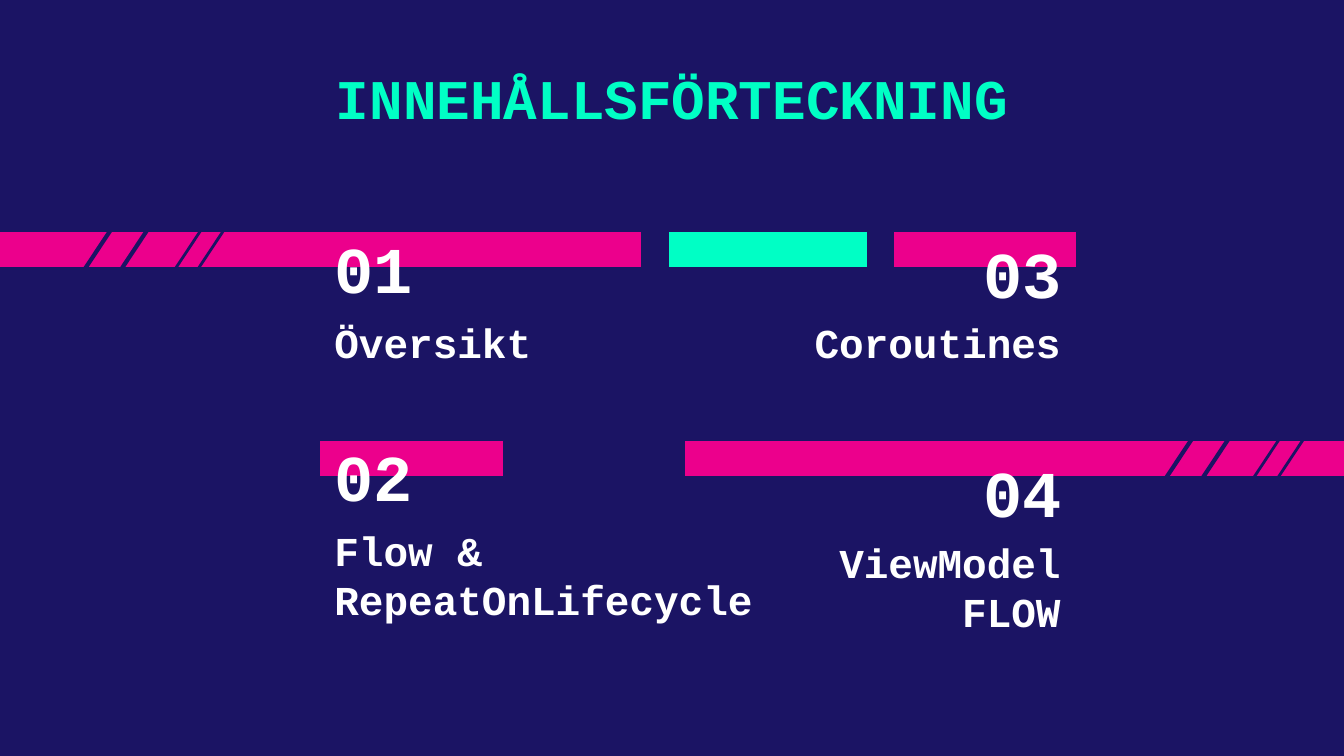
from pptx import Presentation
from pptx.dml.color import RGBColor
from pptx.enum import shapes, text
from pptx.oxml.ns import qn
from pptx.util import Inches, Pt

NAVY, PINK, MINT, WHITE = "1B1464", "EC008C", "00FFC5", "FFFFFF"
LEFT, RIGHT, CENTER = text.PP_ALIGN.LEFT, text.PP_ALIGN.RIGHT, text.PP_ALIGN.CENTER
TOP, BOTTOM = text.MSO_ANCHOR.TOP, text.MSO_ANCHOR.BOTTOM

TITLE = "INNEHÅLLSFÖRTECKNING"
# number, topic lines, alignment, number box, topic box (left, top, width, height)
ENTRIES = [
    ("01", ["Översikt"], LEFT, (2.39, 1.74, 2.37, 0.54), (2.39, 2.36, 2.37, 0.47)),
    ("02", ["Flow & RepeatOnLifecycle"], LEFT, (2.39, 3.2, 2.37, 0.63), (2.39, 3.91, 3.6, 0.47)),
    ("03", ["Coroutines"], RIGHT, (5.63, 1.69, 2.37, 0.63), (4.39, 2.36, 3.6, 0.47)),
    ("04", ["ViewModel", "FLOW"], RIGHT, (5.63, 3.32, 2.37, 0.63), (4.39, 4, 3.6, 0.47)),
]
BAR_HEIGHT = 0.26
# left, top, width, colour
BARS = [
    (0, 1.73, 4.77, PINK),
    (6.65, 1.73, 1.36, PINK),
    (2.38, 3.28, 1.36, PINK),
    (5.1, 3.28, 4.9, PINK),
    (4.98, 1.73, 1.47, MINT),
]
SLASH_RUN, SLASH_DROP = 0.57, 0.86
# upper end x and y, line width
SLASHES = [
    (1.03, 1.4, 2.25), (1.19, 1.57, 2.25), (1.53, 1.66, 1.5), (1.7, 1.66, 1.5),
    (9.25, 2.69, 2.25), (9.41, 2.86, 2.25), (9.57, 3.19, 1.5), (9.75, 3.19, 1.5),
]


def rgb(value):
    return RGBColor.from_string(value)


def add_bar(slide, left, top, width, color):
    pen = slide.shapes.build_freeform(Inches(left), Inches(top), scale=1.0)
    right, bottom = left + width, top + BAR_HEIGHT
    corners = [(left, bottom), (right, bottom), (right, top)]
    pen.add_line_segments([(Inches(x), Inches(y)) for x, y in corners], close=True)
    bar = pen.convert_to_shape()
    bar.shadow.inherit = False
    bar.fill.solid()
    bar.fill.fore_color.rgb = rgb(color)
    bar.line.fill.background()


def add_slash(slide, x, y, width):
    """Cut a bar with a slanted line in the background colour."""
    ends = map(Inches, (x, y, x - SLASH_RUN, y + SLASH_DROP))
    slash = slide.shapes.add_connector(shapes.MSO_CONNECTOR.STRAIGHT, *ends)
    slash.line.color.rgb = rgb(NAVY)
    slash.line.width = Pt(width)
    properties = slash._element.spPr
    properties.append(properties.makeelement(qn("a:effectLst"), {}))


def add_text(slide, box, lines, size, color, align, anchor=TOP, inset=0):
    frame = slide.shapes.add_textbox(*map(Inches, box)).text_frame
    layout = dict(word_wrap=True, vertical_anchor=anchor,
                  margin_left=Inches(0.1), margin_right=Inches(0.1),
                  margin_top=Inches(inset), margin_bottom=Inches(inset))
    for name, value in layout.items():
        setattr(frame, name, value)
    frame.text = "\n".join(lines)
    for paragraph in frame.paragraphs:
        paragraph.alignment = align
        paragraph.line_spacing = 1.0
        font = paragraph.runs[0].font
        for name, value in dict(name="Courier New", size=Pt(size), bold=True).items():
            setattr(font, name, value)
        font.color.rgb = rgb(color)


def main():
    deck = Presentation()
    deck.slide_width, deck.slide_height = Inches(10), Inches(5.625)
    slide = deck.slides.add_slide(deck.slide_layouts[6])
    slide.background.fill.solid()
    slide.background.fill.fore_color.rgb = rgb(NAVY)

    for bar in BARS:
        add_bar(slide, *bar)
    add_text(slide, (1.4, 0.37, 7.2, 0.73), [TITLE], 30, MINT, CENTER, inset=0.1)
    for slash in SLASHES:
        add_slash(slide, *slash)
    for number, topic, align, number_box, topic_box in ENTRIES:
        add_text(slide, number_box, [number], 35, WHITE, align, BOTTOM)
        add_text(slide, topic_box, topic, 22, WHITE, align)

    deck.save("out.pptx")


if __name__ == "__main__":
    main()
